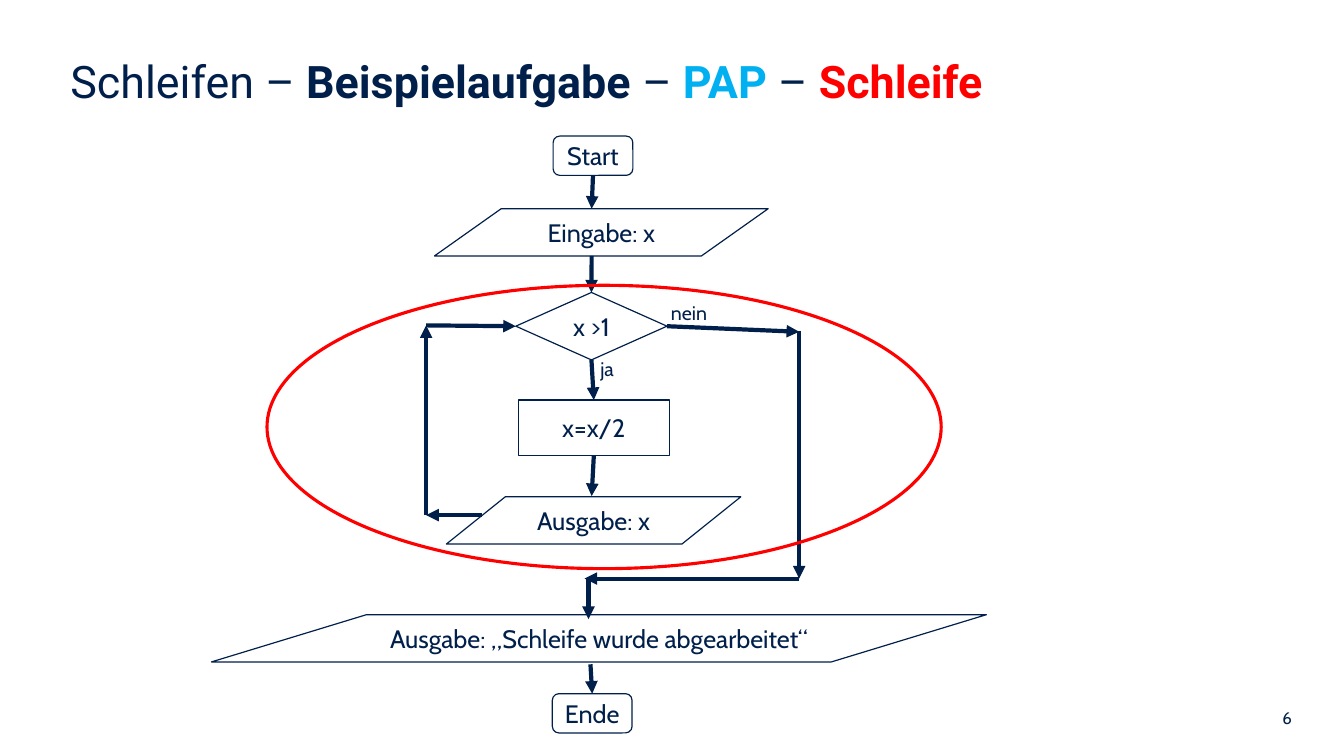
"""Build the flowchart slide for the loop example."""
from dataclasses import dataclass

from lxml import etree
from pptx import Presentation
from pptx import util as u
from pptx.dml.color import RGBColor
from pptx.enum import shapes, text
from pptx.oxml.ns import qn


@dataclass(frozen=True)
class Theme:
    navy: RGBColor = RGBColor.from_string("00204B")
    blue: RGBColor = RGBColor.from_string("00B0F0")
    red: RGBColor = RGBColor.from_string("FF0000")
    white: RGBColor = RGBColor.from_string("FFFFFF")
    head: str = "Roboto"
    body: str = "Cabin"
    title: int = 32
    node: int = 18
    label: int = 14
    page: int = 12
    thin: float = 0.85
    ring: float = 2.25
    arrow: float = 3


T = Theme()


def add_run(para, words, size, color=T.navy, bold=False, face=T.body):
    run = para.add_run()
    run.text = words
    run.font.size, run.font.name, run.font.bold = u.Pt(size), face, bold
    run.font.color.rgb = color


def add_node(kind, box, color=T.navy, width=T.thin, fill=None):
    node = slide.shapes.add_shape(kind, *map(u.Cm, box))
    node.shadow.inherit = False
    if fill is None:
        node.fill.background()
    else:
        node.fill.solid()
        node.fill.fore_color.rgb = fill
    node.line.color.rgb = color
    node.line.width = u.Pt(width)
    return node


deck = Presentation()
deck.slide_width, deck.slide_height = u.Cm(33.87), u.Cm(19.05)
slide = deck.slides.add_slide(deck.slide_layouts[5])

title = slide.shapes.title
title.left, title.top, title.width, title.height = map(u.Cm, (1.52, 1.22, 30.94, 2.01))
frame = title.text_frame
frame.auto_size = text.MSO_AUTO_SIZE.NONE
frame.vertical_anchor = text.MSO_ANCHOR.TOP
frame.paragraphs[0].alignment = text.PP_ALIGN.LEFT
for words, color, bold in (
    ("Schleifen – ", T.navy, False),
    ("Beispielaufgabe ", T.navy, True),
    ("– ", T.navy, False),
    ("PAP ", T.blue, True),
    ("– ", T.navy, False),
    ("Schleife", T.red, True),
):
    add_run(frame.paragraphs[0], words, T.title, color, bold, T.head)

kinds = shapes.MSO_SHAPE
cap, data = kinds.ROUNDED_RECTANGLE, kinds.FLOWCHART_DATA
nodes = {}
for name, kind, words, box, fill in (
    ("start", cap, "Start", (13.94, 3.43, 2.01, 0.99), None),
    ("input", data, "Eingabe: x", (10.95, 5.26, 8.41, 1.19), None),
    ("test", kinds.FLOWCHART_DECISION, "x >1", (13, 7.37, 3.81, 1.7), T.white),
    ("halve", kinds.RECTANGLE, "x=x/2", (13.06, 10.08, 3.81, 1.4), T.white),
    ("output", data, "Ausgabe: x", (11.25, 12.52, 7.42, 1.19), None),
    ("done", data, "Ausgabe: „Schleife wurde abgearbeitet“", (5.33, 15.49, 19.53, 1.19), None),
    ("end", cap, "Ende", (13.92, 17.48, 2.01, 0.99), None),
):
    node = nodes[name] = add_node(kind, box, fill=fill)
    node.text_frame.vertical_anchor = text.MSO_ANCHOR.MIDDLE
    para = node.text_frame.paragraphs[0]
    para.alignment = text.PP_ALIGN.CENTER
    add_run(para, words, T.node)

top, left, base, right = range(4)
for ends, tail, tip in (
    ((14.94, 4.42, 14.91, 5.26), ("start", base), None),
    ((14.91, 6.45, 14.91, 7.37), None, ("test", top)),
    ((14.91, 9.07, 14.97, 10.08), ("test", base), ("halve", top)),
    ((14.97, 11.48, 14.91, 12.5), ("halve", base), None),
    ((12.14, 12.98, 10.74, 12.98), None, None),
    ((10.74, 12.98, 10.74, 8.2), None, None),
    ((10.74, 8.2, 13, 8.22), None, ("test", left)),
    ((16.81, 8.22, 20.14, 8.36), ("test", right), None),
    ((20.14, 8.33, 20.14, 14.58), None, None),
    ((20.14, 14.58, 14.73, 14.58), None, None),
    ((14.83, 14.58, 14.83, 15.6), None, None),
    ((14.88, 16.74, 14.92, 17.48), None, ("end", top)),
):
    arrow = slide.shapes.add_connector(shapes.MSO_CONNECTOR.STRAIGHT, *map(u.Cm, ends))
    if tail:
        arrow.begin_connect(nodes[tail[0]], tail[1])
    if tip:
        arrow.end_connect(nodes[tip[0]], tip[1])
    arrow.line.color.rgb = T.navy
    arrow.line.width = u.Pt(T.arrow)
    etree.SubElement(arrow.line._get_or_add_ln(), qn("a:tailEnd"), type="triangle")
    etree.SubElement(arrow._element.spPr, qn("a:effectLst"))

for words, box, size, side, wrap in (
    ("ja", (14.88, 8.86, 0.86, 0.86), T.label, text.PP_ALIGN.LEFT, False),
    ("nein", (16.66, 7.47, 1.42, 0.86), T.label, text.PP_ALIGN.LEFT, False),
    ("6", (21.46, 17.7, 11.35, 1.02), T.page, text.PP_ALIGN.RIGHT, True),
):
    frame = slide.shapes.add_textbox(*map(u.Cm, box)).text_frame
    frame.word_wrap = wrap
    frame.paragraphs[0].alignment = side
    add_run(frame.paragraphs[0], words, size)

add_node(kinds.OVAL, (6.73, 7.19, 16.99, 7.14), T.red, T.ring)

deck.save("out.pptx")
